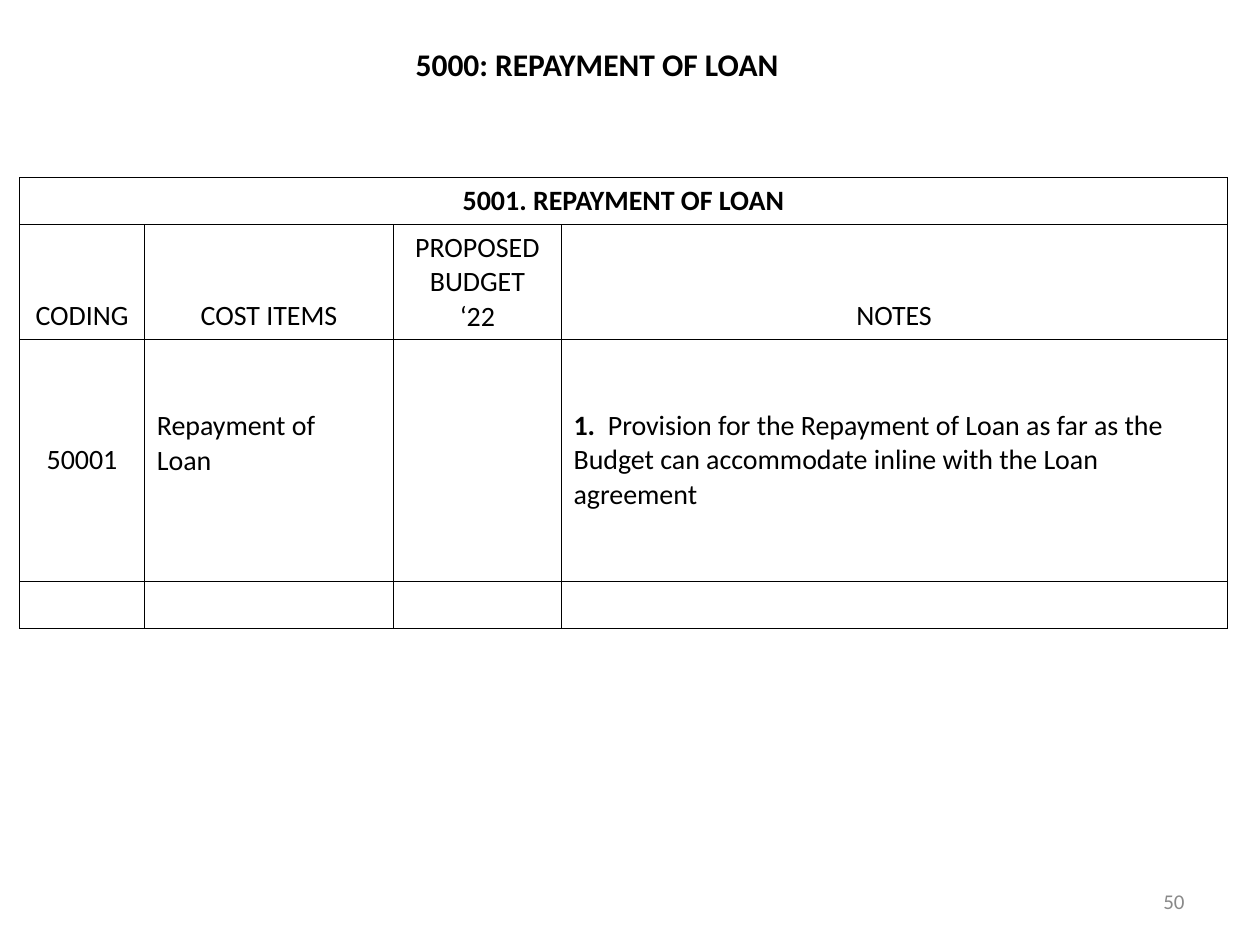
"""Build the loan repayment budget slide."""
from lxml.etree import SubElement
from pptx import Presentation
from pptx.dml.color import RGBColor
from pptx.enum.text import MSO_ANCHOR, PP_ALIGN
from pptx.oxml.ns import qn
from pptx.util import Cm, Pt

BLACK, GREY = "000000", "898989"
TITLE = "5000: REPAYMENT OF LOAN"
PAGE_NUMBER = "50"
SECTION = "5001. REPAYMENT OF LOAN"
HEADINGS = ["CODING", "COST ITEMS", "PROPOSED\vBUDGET\v‘22", "NOTES"]
NOTE_NUMBER = "1. "
NOTE = "Provision for the Repayment of Loan as far as the Budget can accommodate inline with the Loan agreement"
ROWS = [
    [SECTION, "", "", ""],
    HEADINGS,
    ["50001", "Repayment of\vLoan", "", NOTE],
    ["", "", "", ""],
]
COLUMN_WIDTHS = [2.51, 5.03, 3.37, 13.43]
ROW_HEIGHTS = [0.95, 2.32, 4.86, 0.95]
ITEM_ROW = 2
LEFT_COLUMNS = (1, 3)


def color(hex_string):
    return RGBColor.from_string(hex_string)


def style(paragraph, size, hex_string=BLACK, align=PP_ALIGN.LEFT, bold=False):
    paragraph.alignment = align
    font = paragraph.font
    font.name, font.size, font.bold = "Calibri", Pt(size), bold
    font.color.rgb = color(hex_string)


def add_label(slide, text, left, top, width, anchor, **look):
    label = slide.shapes.add_textbox(Cm(left), Cm(top), Cm(width), Cm(1.02))
    frame = label.text_frame
    frame.word_wrap = True
    frame.vertical_anchor = anchor
    frame.text = text
    style(frame.paragraphs[0], **look)


def outline(cell):
    properties = cell._tc.get_or_add_tcPr()
    for position, side in enumerate(("a:lnL", "a:lnR", "a:lnT", "a:lnB")):
        border = properties.makeelement(qn(side), {"w": str(Pt(0.45))})
        fill = SubElement(border, qn("a:solidFill"))
        SubElement(fill, qn("a:srgbClr"), val=BLACK)
        properties.insert(position, border)


def fill_cell(cell, text, row, column):
    paragraph = cell.text_frame.paragraphs[0]
    if text == NOTE:
        paragraph.add_run().text = NOTE_NUMBER
        paragraph.add_run().text = " " + NOTE
        paragraph.runs[0].font.bold = True
    else:
        paragraph.text = text
    is_left = row == ITEM_ROW and column in LEFT_COLUMNS
    style(paragraph, 16, align=PP_ALIGN.LEFT if is_left else PP_ALIGN.CENTER, bold=row == 0)
    cell.vertical_anchor = MSO_ANCHOR.MIDDLE if row == ITEM_ROW else MSO_ANCHOR.BOTTOM
    if not text:
        cell.margin_top = cell.margin_bottom = 0
    cell.fill.background()
    outline(cell)


def add_budget(slide):
    budget = slide.shapes.add_table(
        len(ROWS), len(HEADINGS), Cm(0.4), Cm(3.58),
        Cm(sum(COLUMN_WIDTHS)), Cm(sum(ROW_HEIGHTS))).table
    budget.first_row = budget.horz_banding = False
    for column, width in zip(budget.columns, COLUMN_WIDTHS):
        column.width = Cm(width)
    for row, height in zip(budget.rows, ROW_HEIGHTS):
        row.height = Cm(height)
    for row, texts in enumerate(ROWS):
        for column, text in enumerate(texts):
            fill_cell(budget.cell(row, column), text, row, column)
    budget.cell(0, 0).merge(budget.cell(0, len(HEADINGS) - 1))
    budget.cell(ITEM_ROW, 1).margin_bottom = Cm(0.81)


def main():
    deck = Presentation()
    deck.slide_width, deck.slide_height = Cm(25.4), Cm(19.05)
    slide = deck.slides.add_slide(deck.slide_layouts[6])
    add_label(slide, PAGE_NUMBER, 18.2, 17.65, 5.93, MSO_ANCHOR.MIDDLE,
              size=12, hex_string=GREY, align=PP_ALIGN.RIGHT)
    add_budget(slide)
    add_label(slide, TITLE, 8.13, 0.79, 10.59, MSO_ANCHOR.TOP, size=18, bold=True)
    deck.save("out.pptx")


if __name__ == "__main__":
    main()
